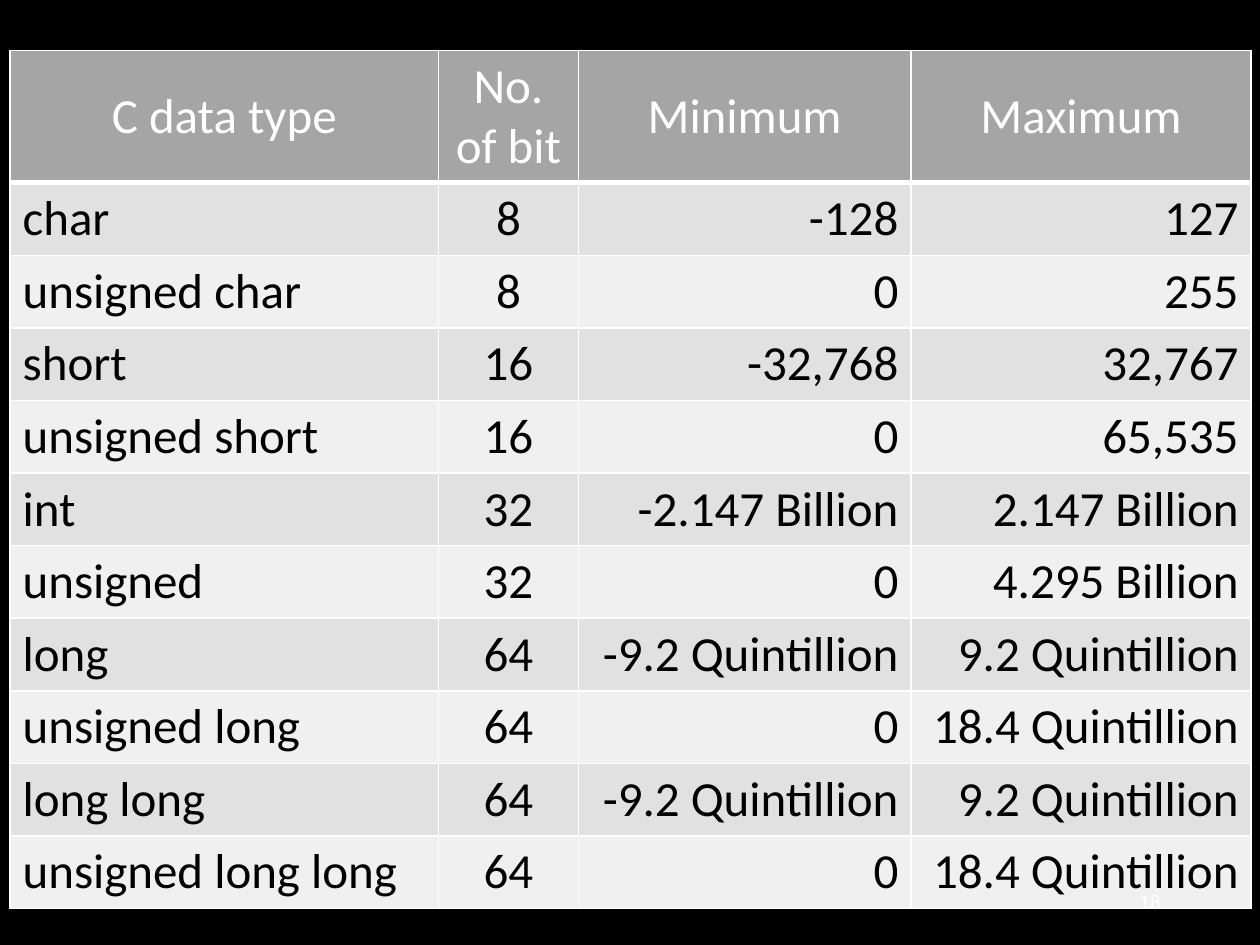
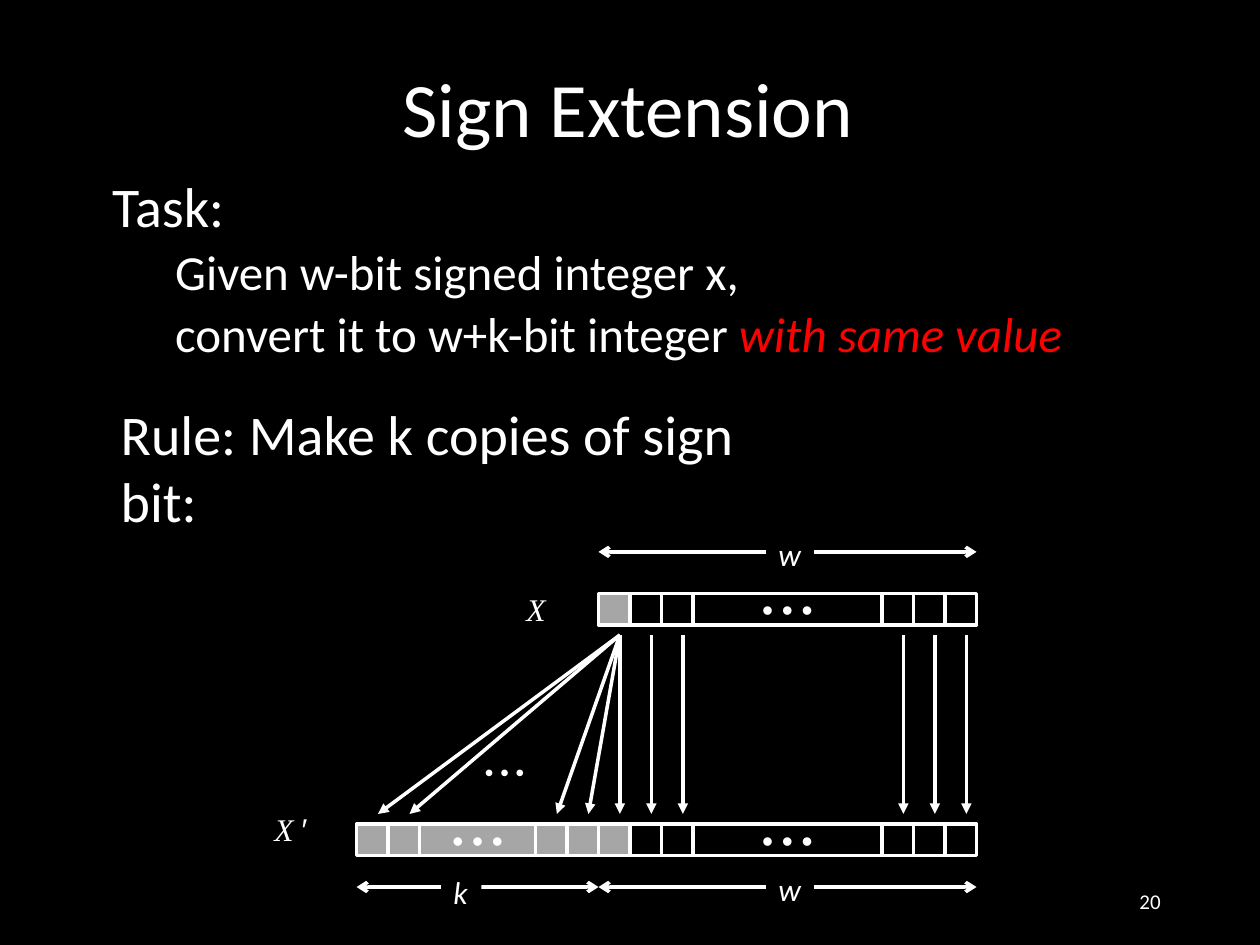
"""Builds two slides on C integer ranges and sign extension."""
from dataclasses import dataclass

import lxml.etree
import pptx
import pptx.dml.color
import pptx.enum.shapes
import pptx.enum.text
import pptx.oxml
import pptx.oxml.ns
import pptx.util

Inches = pptx.util.Inches
Pt = pptx.util.Pt
ALIGN = {
    "l": pptx.enum.text.PP_ALIGN.LEFT,
    "c": pptx.enum.text.PP_ALIGN.CENTER,
    "r": pptx.enum.text.PP_ALIGN.RIGHT,
}
MIDDLE = pptx.enum.text.MSO_ANCHOR.MIDDLE
AUTO = pptx.enum.text.MSO_AUTO_SIZE
DOTS = "• • •"


@dataclass(frozen=True)
class Theme:
    """Colours, fonts and type sizes."""
    back: str = "000000"
    ink: str = "FFFFFF"
    accent: str = "FF0000"
    shade: str = "A6A6A6"
    header: str = "A5A5A5"
    bands: tuple = ("E1E1E1", "F0F0F0")
    font: str = "Calibri"
    symbol: str = "Arial"
    serif: str = "Times New Roman"
    title: int = 44
    body: int = 32
    sub: int = 28
    label: int = 18
    small: int = 14
    footer: int = 12
    line: int = 2


T = Theme()


def rgb(value):
    """Turns a hex string into a colour."""
    return pptx.dml.color.RGBColor.from_string(value)


def add_text(p, text, size=T.label, font=T.font, color=T.ink, italic=False, align=None):
    """Adds one formatted run to a paragraph."""
    r = p.add_run()
    r.text = text
    r.font.size = Pt(size)
    r.font.name = font
    r.font.italic = italic
    r.font.color.rgb = rgb(color)
    if align:
        p.alignment = ALIGN[align]


def sub(parent, tag, **attrs):
    """Appends an XML element with attributes."""
    el = lxml.etree.SubElement(parent, pptx.oxml.ns.qn(tag))
    for name, value in attrs.items():
        el.set(name, str(value))
    return el


class Deck:
    """Holds the presentation style and the current slide."""

    def __init__(self):
        self.prs = pptx.Presentation()
        self.prs.slide_width, self.prs.slide_height = Inches(10), Inches(7.5)
        fill = self.prs.slide_master.background.fill
        fill.solid()
        fill.fore_color.rgb = rgb(T.back)

    def slide(self, layout):
        """Starts a slide on the numbered layout."""
        self.s = self.prs.slides.add_slide(self.prs.slide_layouts[layout])

    def place(self, sp, x, y, w, h):
        """Moves a placeholder and returns its text frame."""
        sp.left, sp.top, sp.width, sp.height = (Inches(v) for v in (x, y, w, h))
        tf = sp.text_frame
        tf.auto_size = AUTO.NONE
        return tf

    def title(self, text):
        """Fills the title placeholder."""
        tf = self.place(self.s.shapes.title, 0.39, 0.48, 9.19, 0.83)
        tf.vertical_anchor = MIDDLE
        p = tf.paragraphs[0]
        p.line_spacing = 0.9
        add_text(p, text, size=T.title, align="c")

    def body(self, items):
        """Fills the body placeholder from (level, runs) items."""
        tf = self.place(self.s.placeholders[1], 0.79, 1.37, 8.62, 1.75)
        for i, (level, runs) in enumerate(items):
            p = tf.add_paragraph() if i else tf.paragraphs[0]
            p.level = level
            p.line_spacing = 0.9
            p.space_before = Pt(5 if level else 10)
            pPr = p._p.get_or_add_pPr()
            pPr.set("marL", str(Inches(0.5 * level)))
            pPr.set("indent", "0")
            sub(pPr, "a:buNone")
            for text, fmt in runs:
                add_text(p, text, size=T.sub if level else T.body, **fmt)

    def text(self, x, y, w, h, *runs, fill=None, wrap=False, middle=False):
        """Adds a text box of (text, format) runs."""
        sp = self.s.shapes.add_textbox(Inches(x), Inches(y), Inches(w), Inches(h))
        if fill:
            sp.fill.solid()
            sp.fill.fore_color.rgb = rgb(fill)
        tf = sp.text_frame
        tf.word_wrap = wrap
        if middle:
            tf.vertical_anchor = MIDDLE
        else:
            tf.auto_size = AUTO.SHAPE_TO_FIT_TEXT
        for text, fmt in runs:
            add_text(tf.paragraphs[0], text, **fmt)

    def number(self, n):
        """Adds the page number."""
        self.text(7.06, 6.95, 2.25, 0.4, (str(n), dict(size=T.footer, align="r")),
                  wrap=True, middle=True)

    def bits(self, x, y, widths, shaded):
        """Draws a row of bit cells; wide cells carry dots."""
        for i, w in enumerate(widths):
            sp = self.s.shapes.add_shape(pptx.enum.shapes.MSO_SHAPE.RECTANGLE,
                                         Inches(x), Inches(y), Inches(w), Inches(0.25))
            sp.shadow.inherit = False
            sp.fill.solid()
            sp.fill.fore_color.rgb = rgb(T.shade if i < shaded else T.back)
            sp.line.color.rgb = rgb(T.ink)
            sp.line.width = Pt(T.line)
            if w > 0.25:
                tf = sp.text_frame
                tf.word_wrap = False
                tf.vertical_anchor = MIDDLE
                add_text(tf.paragraphs[0], DOTS, font=T.symbol, align="c")
            x += w

    def arrow(self, x1, y1, x2, y2, head=None, tail="triangle"):
        """Draws a straight connector with arrowheads."""
        cn = self.s.shapes.add_connector(pptx.enum.shapes.MSO_CONNECTOR.STRAIGHT,
                                         Inches(x1), Inches(y1), Inches(x2), Inches(y2))
        cn.line.color.rgb = rgb(T.ink)
        cn.line.width = Pt(T.line)
        ln = cn.line._get_or_add_ln()
        if head:
            sub(ln, "a:headEnd", type=head)
        sub(ln, "a:tailEnd", type=tail)
        sub(cn._element.spPr, "a:effectLst")

    def span(self, x1, x2, y, name, x, top, w):
        """Draws a double arrow with its label."""
        self.arrow(x1, y, x2, y, head="arrow", tail="arrow")
        self.text(x, top, w, 0.4, (name, dict(italic=True)), fill=T.back)

    def cell(self, cell, text, fill, bottom=1, **fmt):
        """Fills one table cell and draws its borders."""
        tcPr = cell._tc.get_or_add_tcPr()
        for side in "LRTB":
            width = bottom if side == "B" else 1
            ln = sub(tcPr, "a:ln" + side, w=Pt(width))
            sub(sub(ln, "a:solidFill"), "a:srgbClr", val=T.ink)
        cell.fill.solid()
        cell.fill.fore_color.rgb = rgb(fill)
        add_text(cell.text_frame.paragraphs[0], text, size=T.sub, **fmt)

    def table(self, x, y, widths, header, rows, aligns):
        """Adds a banded table with a tall header row."""
        head_h, row_h = 1.05, 0.576
        tbl = self.s.shapes.add_table(len(rows) + 1, len(widths), Inches(x), Inches(y),
                                      Inches(sum(widths)),
                                      Inches(head_h + row_h * len(rows))).table
        for col, w in zip(tbl.columns, widths):
            col.width = Inches(w)
        for i, row in enumerate(tbl.rows):
            row.height = Inches(row_h if i else head_h)
        for j, text in enumerate(header):
            self.cell(tbl.cell(0, j), text, T.header, bottom=3, align="c")
            tbl.cell(0, j).vertical_anchor = MIDDLE
        for i, values in enumerate(rows):
            for j, text in enumerate(values):
                self.cell(tbl.cell(i + 1, j), text, T.bands[i % 2],
                          color=T.back, align=aligns[j])


def data_types(d):
    """Builds the table of integer ranges."""
    d.slide(6)
    rows = [
        ("char", "8", "-128", "127"),
        ("unsigned char", "8", "0", "255"),
        ("short", "16", "-32,768", "32,767"),
        ("unsigned short", "16", "0", "65,535"),
        ("int", "32", "-2.147 Billion", "2.147 Billion"),
        ("unsigned", "32", "0", "4.295 Billion"),
        ("long", "64", "-9.2 Quintillion", "9.2 Quintillion"),
        ("unsigned long", "64", "0", "18.4 Quintillion"),
        ("long long", "64", "-9.2 Quintillion", "9.2 Quintillion"),
        ("unsigned long long", "64", "0", "18.4 Quintillion"),
    ]
    d.table(0.08, 0.4, (3.4, 1.11, 2.64, 2.7),
            ("C data type", "No. of bit", "Minimum", "Maximum"), rows, "lcrr")
    d.number(18)


def sign_extension(d):
    """Builds the sign extension diagram."""
    d.slide(1)
    d.title("Sign Extension")
    d.body([
        (0, [("Task:", {})]),
        (1, [("Given w-bit signed integer x,", {})]),
        (1, [("convert it to w+k-bit integer ", {}),
             ("with same value", dict(color=T.accent, italic=True))]),
    ])
    word = [0.25] * 3 + [1.5] + [0.25] * 3
    copies = [0.25] * 2 + [0.92] + [0.25] * 2
    left, sign, right = 2.83, 4.75, 7.75
    d.bits(sign, 4.71, word, 1)
    d.bits(left, 6.54, copies + word, len(copies) + 1)

    serif = dict(font=T.serif, italic=True)
    d.text(4.08, 4.63, 0.43, 0.4, ("X", serif))
    d.text(2.08, 6.38, 0.49, 0.4, ("X ", serif), ("′", dict(font=T.symbol)))

    for x in (3, 3.25, 4.42, 4.67, 4.92):
        d.arrow(4.92, 5.04, x, 6.46)
    for x in (5.17, 5.42, 7.17, 7.42, 7.67):
        d.arrow(x, 5.04, x, 6.46)
    d.text(3.75, 5.96, 0.52, 0.34, (DOTS, dict(size=T.small, font=T.symbol)))

    d.span(sign, right, 4.38, "w", 6.08, 4.2, 0.38)
    d.span(sign, right, 7.04, "w", 6.08, 6.86, 0.38)
    d.span(left, sign, 7.04, "k", 3.5, 6.88, 0.32)
    d.text(0.86, 3.12, 5.42, 0.64,
           ("Rule: Make k copies of sign bit:", dict(size=T.body)), wrap=True)
    d.number(20)


def main():
    """Builds and saves the deck."""
    d = Deck()
    data_types(d)
    sign_extension(d)
    d.prs.save("out.pptx")


if __name__ == "__main__":
    main()
